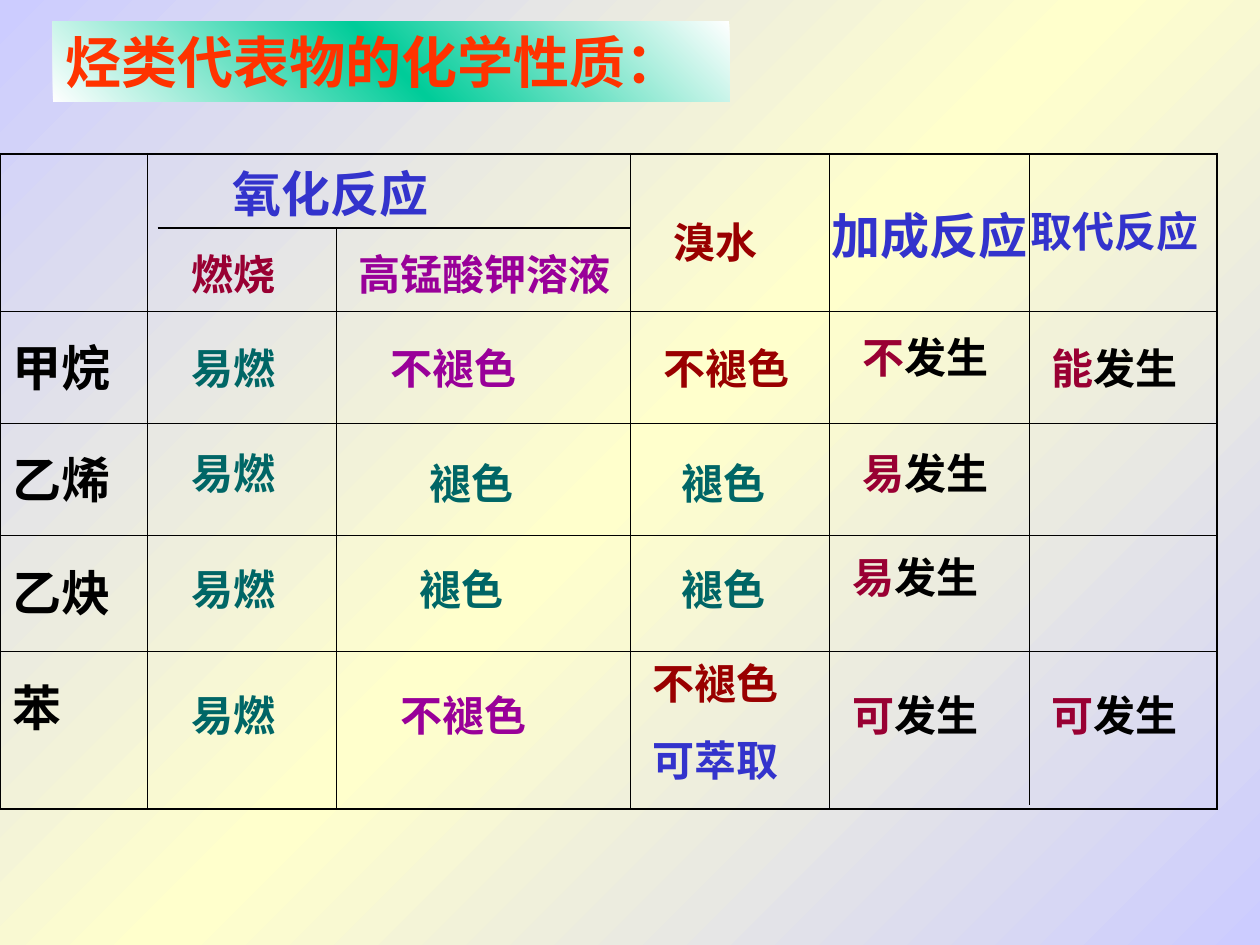
import dataclasses

import pptx
import pptx.dml.color
import pptx.enum.shapes
import pptx.enum.text
import pptx.oxml
import pptx.oxml.ns
import pptx.util
from pptx.util import Inches


@dataclasses.dataclass(frozen=True)
class Theme:
    font: str = "Times New Roman"
    title: int = 32
    heading: int = 28
    body: int = 24
    black: str = "000000"
    blue: str = "3333CC"
    teal: str = "006666"
    purple: str = "990099"
    crimson: str = "990033"
    maroon: str = "990000"
    orange: str = "FF3300"
    page_gradient: tuple = ("CCCCFF", "FFFFCC", "CCCCFF")
    title_gradient: tuple = ("FFFFFF", "00CC99", "FFFFFF")
    thin: float = 0.45
    rule: float = 0.75
    thick: float = 1.08


theme = Theme()
qn = pptx.oxml.ns.qn
NAMESPACE = 'xmlns:a="http://schemas.openxmlformats.org/drawingml/2006/main"'


def write_text(frame, lines, size=theme.body, indent=0.0):
    """Fill a frame; each line is a list of (text, colour) spans."""
    frame.word_wrap = True
    for index, line in enumerate(lines):
        para = frame.add_paragraph() if index else frame.paragraphs[0]
        para.alignment = pptx.enum.text.PP_ALIGN.LEFT
        if index:
            para.space_before = pptx.util.Pt(15)
        if indent:
            para._p.get_or_add_pPr().set("marL", str(Inches(indent)))
        for text, colour in line:
            span = para.add_run()
            span.text = text
            span.font.name = theme.font
            span.font.size = pptx.util.Pt(size)
            span.font.bold = True
            span.font.color.rgb = pptx.dml.color.RGBColor.from_string(colour)


def paint_gradient(fill, element, colours, angle):
    """Three even stops; the angle runs counter-clockwise."""
    fill.gradient()
    fill.gradient_angle = angle
    stops = next(element.iter(qn("a:gsLst")))
    for stop in list(stops):
        stops.remove(stop)
    for position, colour in zip((0, 50000, 100000), colours):
        stops.append(pptx.oxml.parse_xml(
            f'<a:gs {NAMESPACE} pos="{position}"><a:srgbClr val="{colour}"/></a:gs>'))


deck = pptx.Presentation()
deck.slide_width, deck.slide_height = Inches(10), Inches(7.5)
page = deck.slides.add_slide(deck.slide_layouts[6])
paint_gradient(page.background.fill, page._element, theme.page_gradient, 315)

# Title band
title = page.shapes.add_shape(
    pptx.enum.shapes.MSO_SHAPE.RECTANGLE,
    Inches(0.42), Inches(0.17), Inches(5.37), Inches(0.64))
title.shadow.inherit = False
title.line.fill.background()
paint_gradient(title.fill, title._element, theme.title_gradient, 45)
title.text_frame.vertical_anchor = pptx.enum.text.MSO_ANCHOR.TOP
write_text(title.text_frame, [[("烃类代表物的化学性质：", theme.orange)]], size=theme.title)

# Table grid with the compound names
widths = [1.17, 1.5, 2.33, 1.58, 3.08]
heights = [1.25, 0.89, 0.89, 0.92, 1.25]
compounds = ["", "甲烷", "乙烯", "乙炔", "苯"]
table = page.shapes.add_table(
    len(heights), len(widths), Inches(0), Inches(1.22),
    Inches(sum(widths)), Inches(sum(heights))).table
table.first_row = table.horz_banding = False
for column, width in zip(table.columns, widths):
    column.width = Inches(width)
for row, height in zip(table.rows, heights):
    row.height = Inches(height)
table.cell(0, 1).merge(table.cell(0, 2))

last_row, last_column = len(heights) - 1, len(widths) - 1
for r, compound in enumerate(compounds):
    for c in range(len(widths)):
        cell = table.cell(r, c)
        cell.fill.background()
        if cell.is_spanned:
            continue
        outer = {"lnL": c == 0, "lnR": c == last_column,
                 "lnT": r == 0, "lnB": r == last_row}
        for index, (side, is_outer) in enumerate(outer.items()):
            weight = pptx.util.Pt(theme.thick if is_outer else theme.thin)
            cell._tc.get_or_add_tcPr().insert(index, pptx.oxml.parse_xml(
                f'<a:{side} {NAMESPACE} w="{weight}"><a:solidFill>'
                f'<a:srgbClr val="{theme.black}"/></a:solidFill></a:{side}>'))
    if compound:
        name_cell = table.cell(r, 0)
        name_cell.margin_top = Inches(0.15)
        write_text(name_cell.text_frame, [[(compound, theme.black)]], size=theme.heading)

# Extra rules that split the heading and the last column
rules = page.shapes.add_group_shape()
for x1, y1, x2, y2 in [(1.25, 1.81, 5, 1.81), (8.17, 1.22, 8.17, 6.39),
                       (2.67, 1.81, 2.67, 2.56)]:
    rule = rules.shapes.add_connector(
        pptx.enum.shapes.MSO_CONNECTOR.STRAIGHT,
        Inches(x1), Inches(y1), Inches(x2), Inches(y2))
    rule.line.width = pptx.util.Pt(theme.rule)
    rule.line.color.rgb = pptx.dml.color.RGBColor.from_string(theme.black)
    rule._element.spPr.append(pptx.oxml.parse_xml(f"<a:effectLst {NAMESPACE}/>"))

# Labels: left, top, width, lines, then any text format
burns = [[("易燃", theme.teal)]]
fades = [[("褪色", theme.teal)]]
keeps_purple = [[("不褪色", theme.purple)]]
keeps_maroon = [("不褪色", theme.maroon)]
heading = {"size": theme.heading}
indented = {"indent": 0.31}
labels = [
    # Column headings
    (1.75, 1.25, 3.25, [[("氧化反应", theme.blue)]], heading),
    (1.42, 1.92, 1, [[("燃烧", theme.crimson)]], {}),
    (2.75, 1.92, 2.67, [[("高锰酸钾溶液", theme.purple)]], {}),
    (5.25, 1.67, 0.92, [[("溴水", theme.maroon)]], {}),
    (6.5, 1.58, 2, [[("加成反应", theme.blue)]], heading),
    (8.08, 1.58, 2.25, [[("取代反应", theme.blue)]], {}),
    # Permanganate
    (3, 2.67, 1.92, keeps_purple, {}),
    (3, 3.58, 1.92, fades, indented),
    (2.92, 4.42, 1.92, fades, indented),
    (3.08, 5.42, 1.92, keeps_purple, {}),
    # Bromine water
    (5.17, 2.67, 1.92, [keeps_maroon], {}),
    (5, 3.58, 1.92, fades, indented),
    (5, 4.42, 1.92, fades, indented),
    (5.08, 5.17, 1.92, [keeps_maroon, [("可萃取", theme.blue)]], {}),
]
# Combustion
labels += [(1.42, top, 1, burns, {}) for top in (2.67, 3.5, 4.42, 5.42)]
# Addition and substitution
labels += [
    (left, top, 1.33, [[(verdict, theme.crimson), ("发生", theme.black)]], {})
    for left, top, verdict in [
        (6.75, 2.58, "不"), (6.75, 3.5, "易"), (6.67, 4.33, "易"),
        (6.67, 5.42, "可"), (8.25, 2.67, "能"), (8.25, 5.42, "可")]
]
for left, top, width, lines, style in labels:
    height = 0.57 if style is heading else 0.5 + 0.61 * (len(lines) - 1)
    box = page.shapes.add_textbox(Inches(left), Inches(top), Inches(width), Inches(height))
    box.text_frame.auto_size = pptx.enum.text.MSO_AUTO_SIZE.SHAPE_TO_FIT_TEXT
    write_text(box.text_frame, lines, **style)

deck.save("out.pptx")
